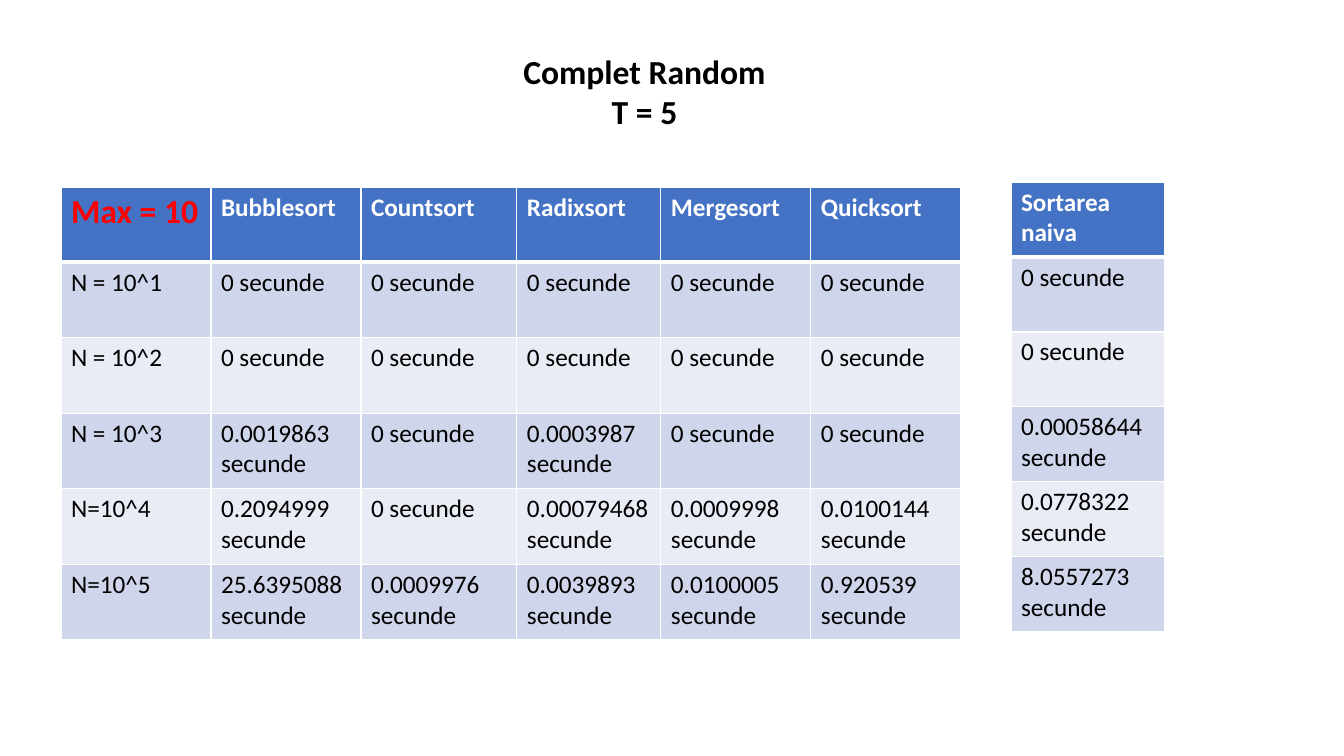
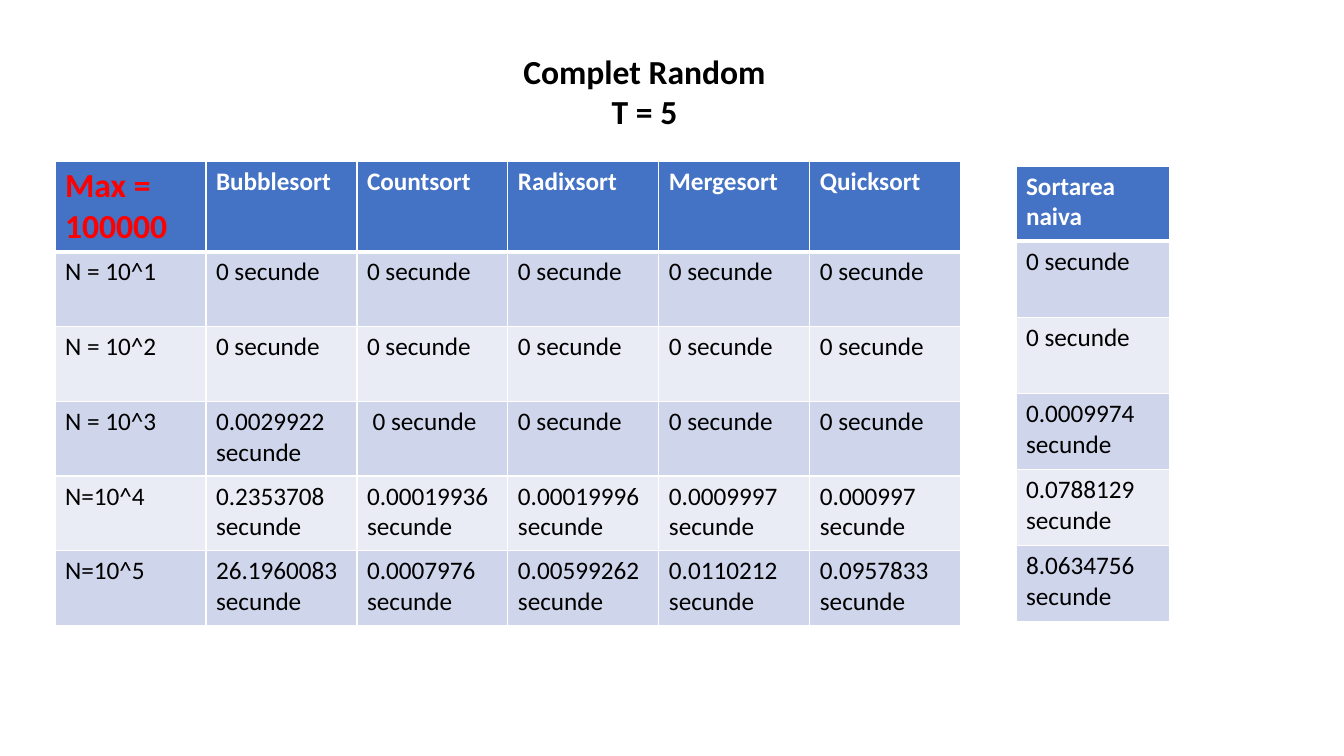
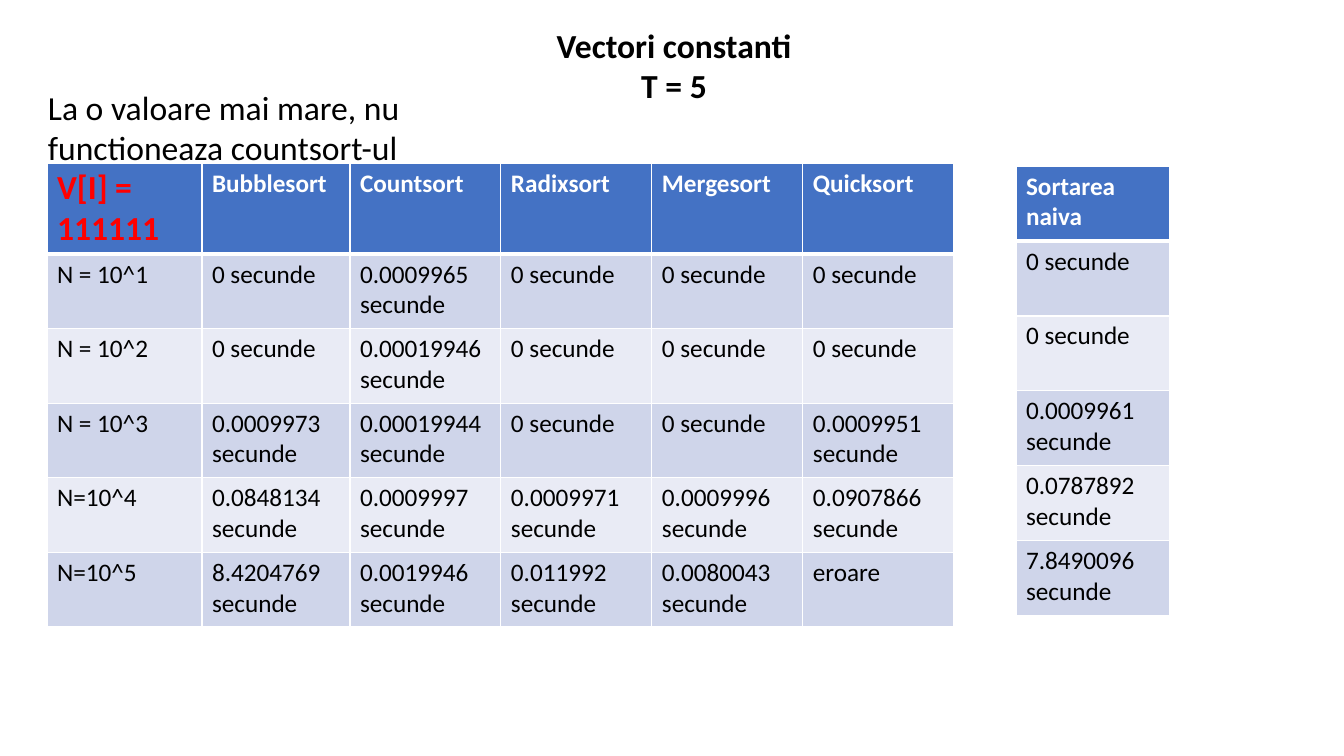
"""Three slides of sorting times: a table of algorithms beside the naive sort."""
import dataclasses
import typing

import lxml.etree
import pptx
import pptx.dml.color
import pptx.enum.text
import pptx.oxml.ns
import pptx.slide
import pptx.table
import pptx.util

PIXELS_PER_INCH = 100.8
FONT = "Calibri"
COLOURS = {
    "header": "4472C4",
    "odd": "CFD5EA",
    "even": "E9EBF5",
    "border": "FFFFFF",
    "light": "FFFFFF",
    "dark": "000000",
    "accent": "FF0000",
}
LARGE, NORMAL = 24, 18
THIN, THICK = 1, 3
UNIT = "secunde"
ALGORITHMS = ("Bubblesort", "Countsort", "Radixsort", "Mergesort", "Quicksort")
SIZES = ("N = 10^1", "N = 10^2", "N = 10^3", "N=10^4", "N=10^5")
NAIVE_HEADING = "Sortarea naiva"
NAIVE_WIDTH = 154

Rows = typing.Sequence[typing.Sequence[str]]


@dataclasses.dataclass(frozen=True)
class TextBlock:
    """A text box: place in pixels and one string for each paragraph."""
    left: int
    top: int
    width: int
    lines: tuple[str, ...]
    height: int = 92
    heading: bool = True


@dataclasses.dataclass(frozen=True)
class Grid:
    """The frame of a table: place, column widths and heights in pixels."""
    left: int
    top: int
    columns: tuple[int, ...]
    height: int
    header: int = 75


@dataclasses.dataclass(frozen=True)
class TimingPage:
    """One slide: its case label, both tables, their times and the texts."""
    case: str
    main: Grid
    times: Rows
    naive: Grid
    naive_times: tuple[str, ...]
    texts: tuple[TextBlock, ...]


RANDOM_TITLE = TextBlock(507, 46, 275, ("Complet Random", "T = 5"))

PAGES = (
    TimingPage(
        case="Max = 10",
        main=Grid(61, 187, (150, 150, 156, 144, 150, 150), 453),
        times=(
            ("0", "0", "0", "0", "0"),
            ("0", "0", "0", "0", "0"),
            ("0.0019863", "0", "0.0003987", "0", "0"),
            ("0.2094999", "0", "0.00079468", "0.0009998", "0.0100144"),
            ("25.6395088", "0.0009976", "0.0039893", "0.0100005", "0.920539"),
        ),
        naive=Grid(1011, 182, (NAIVE_WIDTH,), 450),
        naive_times=("0", "0", "0.00058644", "0.0778322", "8.0557273"),
        texts=(RANDOM_TITLE,),
    ),
    TimingPage(
        case="Max = 100000",
        main=Grid(55, 161, (151,) * 6, 464, header=90),
        times=(
            ("0", "0", "0", "0", "0"),
            ("0", "0", "0", "0", "0"),
            ("0.0029922", "\u00a00", "0", "0", "0"),
            ("0.2353708", "0.00019936", "0.00019996", "0.0009997", "0.000997"),
            ("26.1960083", "0.0007976", "0.00599262", "0.0110212", "0.0957833"),
        ),
        naive=Grid(1016, 166, (NAIVE_WIDTH,), 456),
        naive_times=("0", "0", "0.0009974", "0.0788129", "8.0634756"),
        texts=(RANDOM_TITLE,),
    ),
    TimingPage(
        case="V[I] = 111111",
        main=Grid(47, 163, (155, 148) + (151,) * 4, 464, header=91),
        times=(
            ("0", "0.0009965", "0", "0", "0"),
            ("0", "0.00019946", "0", "0", "0"),
            ("0.0009973", "0.00019944", "0", "0", "0.0009951"),
            ("0.0848134", "0.0009997", "0.0009971", "0.0009996", "0.0907866"),
            ("8.4204769", "0.0019946", "0.011992", "0.0080043", "eroare"),
        ),
        naive=Grid(1016, 166, (NAIVE_WIDTH,), 450),
        naive_times=("0", "0", "0.0009961", "0.0787892", "7.8490096"),
        texts=(
            TextBlock(449, 20, 450, ("Vectori constanti", "T = 5")),
            TextBlock(38, 82, 460,
                      ("La o valoare mai mare, nu functioneaza\u00a0countsort-ul",),
                      heading=False),
        ),
    ),
)


def scale(pixels: float) -> pptx.util.Emu:
    """Turn pixels into EMU."""
    return pptx.util.Emu(round(pixels * 914400 / PIXELS_PER_INCH))


def rgb(name: str) -> pptx.dml.color.RGBColor:
    """Look up a named colour."""
    return pptx.dml.color.RGBColor.from_string(COLOURS[name])


def add_span(para: typing.Any, text: str, size: int, colour: str, bold: bool) -> None:
    """Add one formatted run to a paragraph."""
    span = para.add_run()
    span.text = text
    span.font.name = FONT
    span.font.size = pptx.util.Pt(size)
    span.font.bold = bold
    span.font.color.rgb = rgb(colour)


def add_text(page: pptx.slide.Slide, block: TextBlock) -> None:
    """Draw a text box; a heading is bold and centred."""
    box = page.shapes.add_textbox(
        *map(scale, (block.left, block.top, block.width, block.height)))
    frame = box.text_frame
    frame.word_wrap = True
    frame.auto_size = pptx.enum.text.MSO_AUTO_SIZE.SHAPE_TO_FIT_TEXT
    for index, line in enumerate(block.lines):
        para = frame.add_paragraph() if index else frame.paragraphs[0]
        if block.heading:
            para.alignment = pptx.enum.text.PP_ALIGN.CENTER
        add_span(para, line, LARGE, "dark", block.heading)


def add_borders(cell: pptx.table._Cell, row: int) -> None:
    """Outline a cell, with a thick line between the header and the body."""
    qualified = pptx.oxml.ns.qn
    properties = cell._tc.get_or_add_tcPr()
    widths = {"L": THIN, "R": THIN,
              "T": THICK if row == 1 else THIN,
              "B": THICK if row == 0 else THIN}
    for side, width in widths.items():
        line = lxml.etree.SubElement(
            properties, qualified(f"a:ln{side}"), w=str(pptx.util.Pt(width)))
        fill = lxml.etree.SubElement(line, qualified("a:solidFill"))
        lxml.etree.SubElement(fill, qualified("a:srgbClr"), val=COLOURS["border"])


def add_grid(page: pptx.slide.Slide, grid: Grid, rows: Rows, case: str = "") -> None:
    """Draw a banded table; the header cell that holds the case stands out."""
    table = page.shapes.add_table(
        len(rows), len(grid.columns), scale(grid.left), scale(grid.top),
        scale(sum(grid.columns)), scale(grid.height)).table
    for column, width in zip(table.columns, grid.columns):
        column.width = scale(width)
    body_height = (grid.height - grid.header) / (len(rows) - 1)
    for row, texts in enumerate(rows):
        header = row == 0
        table.rows[row].height = scale(grid.header if header else body_height)
        band = "header" if header else ("even", "odd")[row % 2]
        for column, text in enumerate(texts):
            cell = table.cell(row, column)
            add_borders(cell, row)
            cell.fill.solid()
            cell.fill.fore_color.rgb = rgb(band)
            is_case = header and text == case
            colour = "accent" if is_case else "light" if header else "dark"
            add_span(cell.text_frame.paragraphs[0], text,
                     LARGE if is_case else NORMAL, colour, header)


def with_unit(time: str) -> str:
    """Add the unit to a time, but not to an error word."""
    return time if time.isalpha() else f"{time} {UNIT}"


def add_page(deck: typing.Any, timing: TimingPage) -> None:
    """Build one slide with both tables and its texts."""
    page = deck.slides.add_slide(deck.slide_layouts[6])
    main_rows = [(timing.case, *ALGORITHMS)]
    main_rows += [(size, *map(with_unit, times))
                  for size, times in zip(SIZES, timing.times)]
    naive_rows = [(NAIVE_HEADING,)]
    naive_rows += [(with_unit(time),) for time in timing.naive_times]
    add_grid(page, timing.main, main_rows, timing.case)
    add_grid(page, timing.naive, naive_rows)
    for block in timing.texts:
        add_text(page, block)


def main() -> None:
    """Build and save the deck."""
    deck = pptx.Presentation()
    deck.slide_width, deck.slide_height = scale(1344), scale(756)
    for timing in PAGES:
        add_page(deck, timing)
    deck.save("out.pptx")


main()
